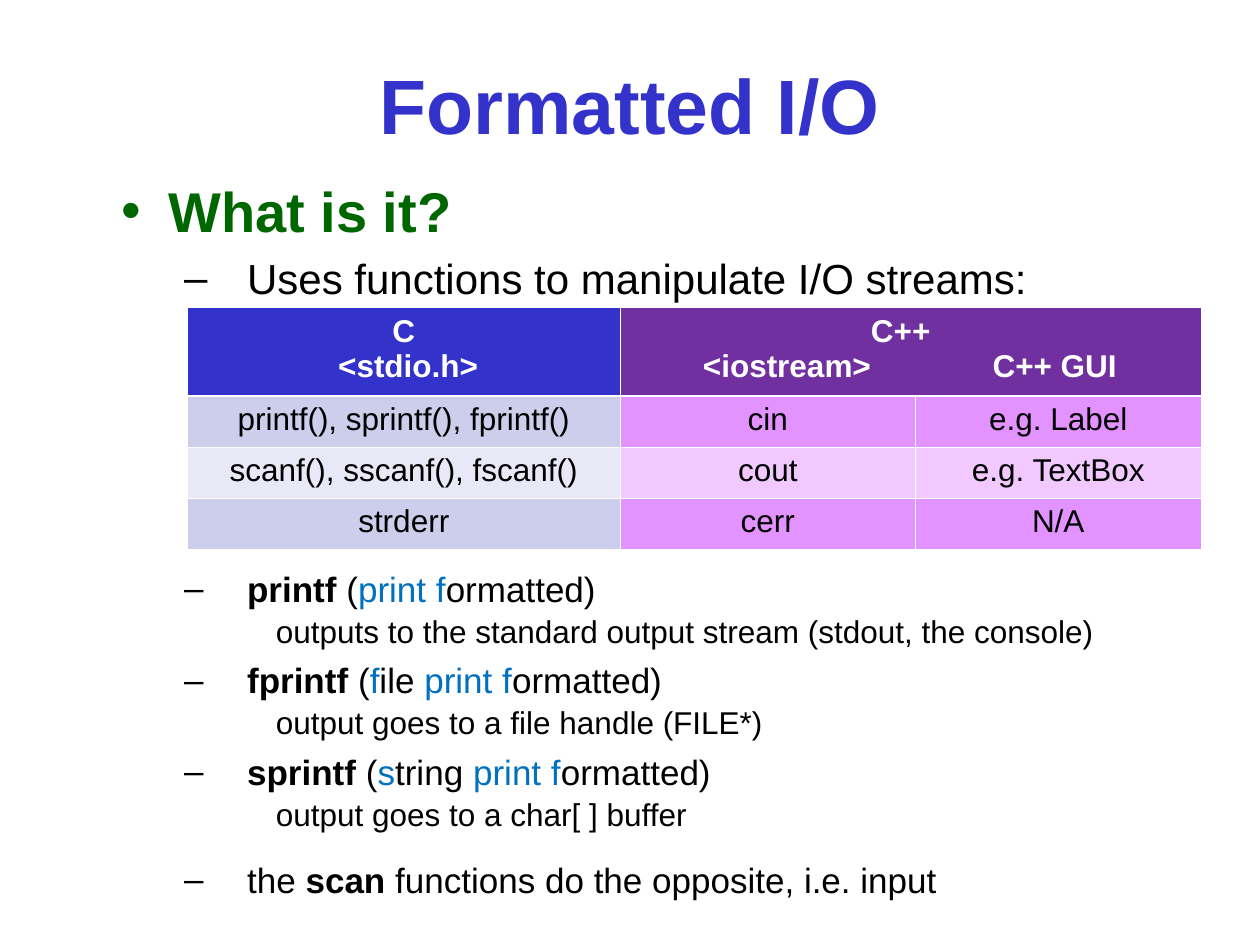
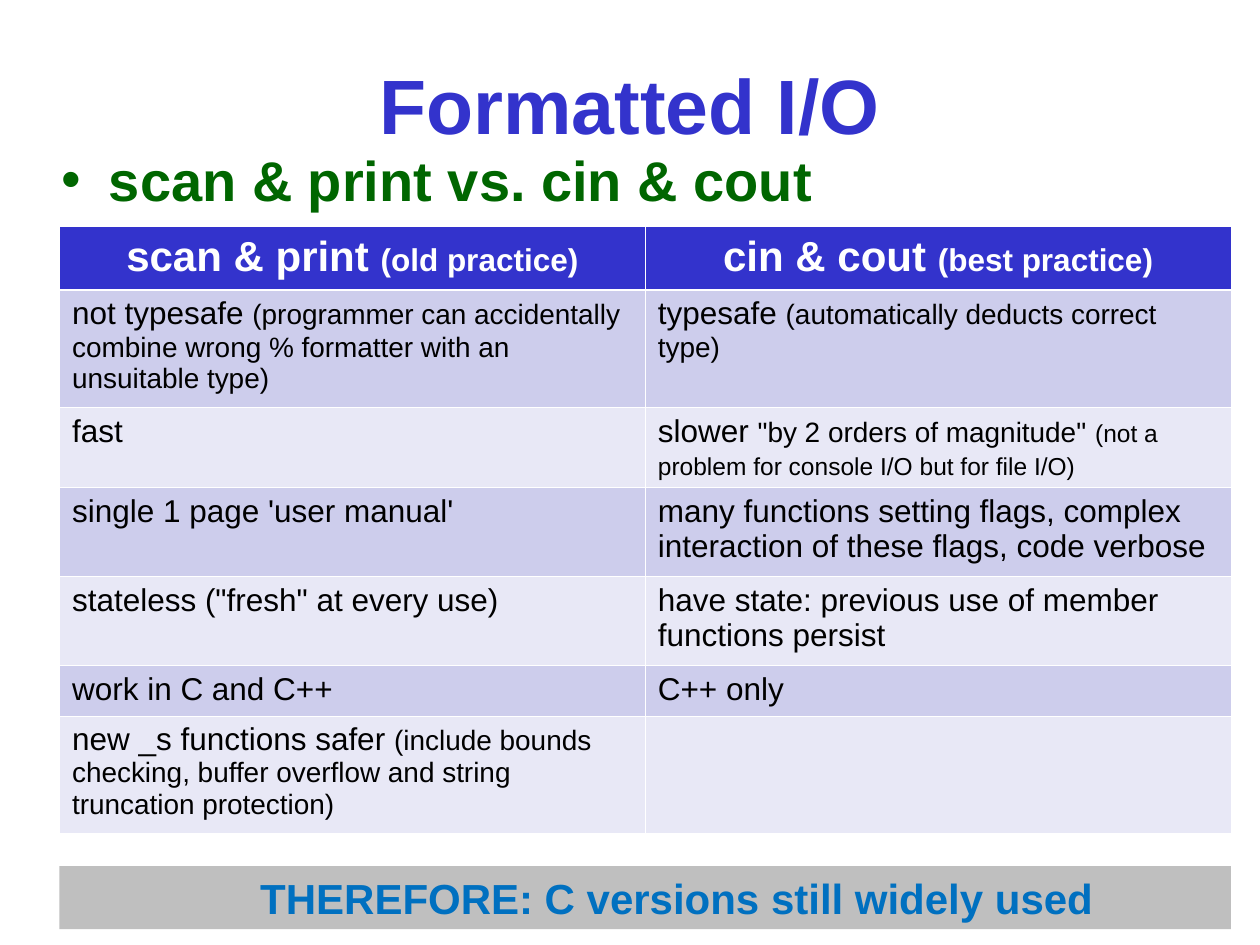
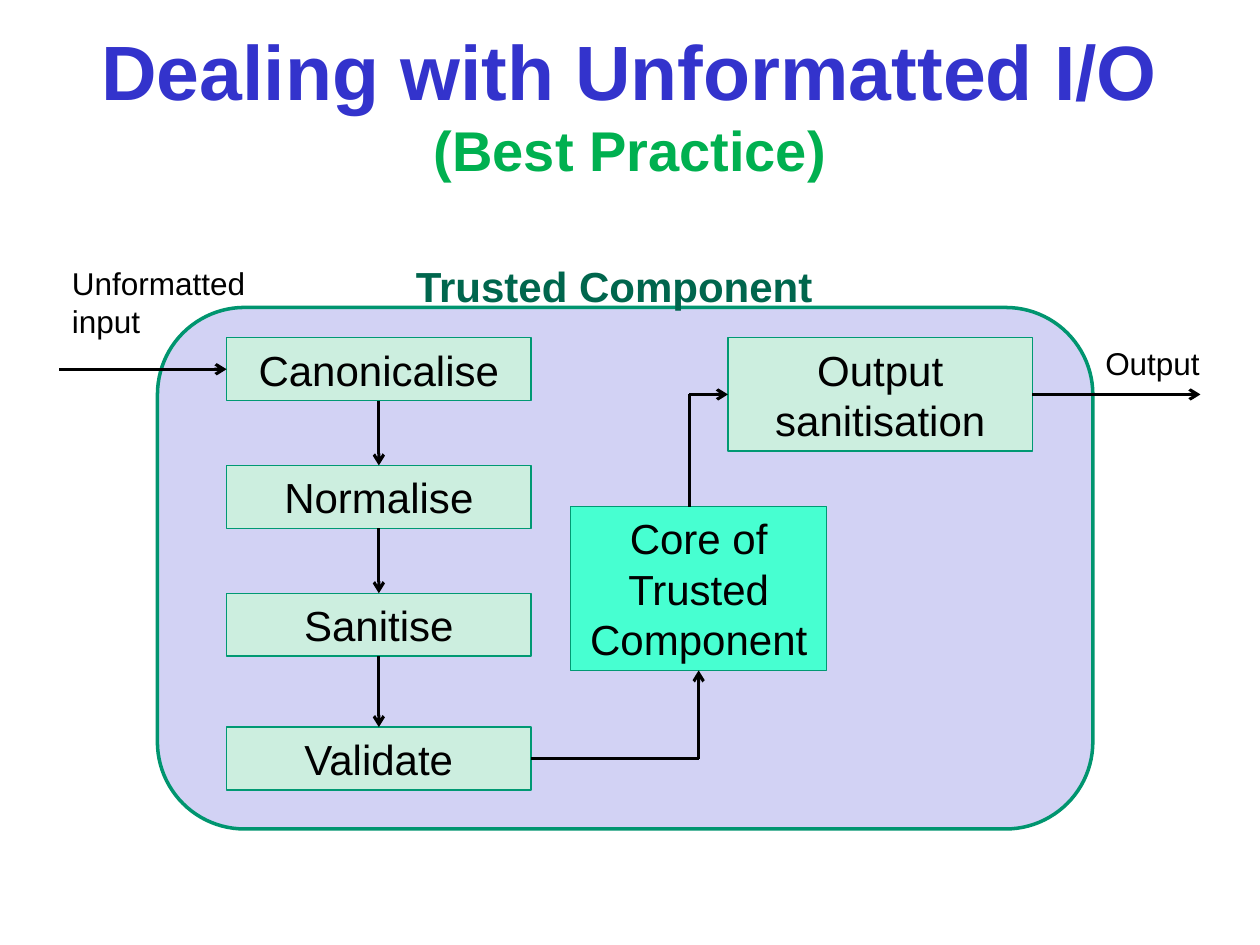
import pptx
import pptx.util
import pptx.dml.color
import pptx.enum.shapes
import pptx.enum.text
import pptx.oxml.ns
import lxml.etree

Pt = pptx.util.Pt
RGB = pptx.dml.color.RGBColor
Shape = pptx.enum.shapes.MSO_SHAPE
Line = pptx.enum.shapes.MSO_CONNECTOR
Align = pptx.enum.text.PP_ALIGN
Anchor = pptx.enum.text.MSO_ANCHOR
Fit = pptx.enum.text.MSO_AUTO_SIZE
qn = pptx.oxml.ns.qn

FONT = "Arial"
BLACK = RGB(0x00, 0x00, 0x00)
WHITE = RGB(0xFF, 0xFF, 0xFF)
BLUE = RGB(0x33, 0x33, 0xCC)
GREEN = RGB(0x00, 0x66, 0x00)
LEAF = RGB(0x00, 0xB0, 0x50)
SKY = RGB(0x00, 0x70, 0xC0)
PURPLE = RGB(0x70, 0x30, 0xA0)
LILAC = RGB(0xCD, 0xCD, 0xEC)
PALE = RGB(0xE8, 0xE8, 0xF6)
PINK = RGB(0xE3, 0x93, 0xFF)
ROSE = RGB(0xF1, 0xC9, 0xFF)
GREY = RGB(0xBF, 0xBF, 0xBF)
HAZE = RGB(0xD2, 0xD2, 0xF4)
TEAL = RGB(0x00, 0x95, 0x6F)
EDGE = RGB(0x00, 0x99, 0x73)
MINT = RGB(0xCC, 0xEE, 0xDF)
AQUA = RGB(0x47, 0xFF, 0xD1)
PINE = RGB(0x00, 0x66, 0x4D)


def write(para, runs, lead, align=Align.LEFT, before=0):
    para.alignment = align
    para.line_spacing = Pt(lead)
    para.space_before = Pt(before)
    for text, size, color, bold in runs:
        run = para.add_run()
        run.text = text
        run.font.name = FONT
        run.font.size = Pt(size)
        run.font.bold = bold
        run.font.color.rgb = color


def add_grid(slide, left, top, widths, heights, fills):
    frame = slide.shapes.add_table(
        len(heights), len(widths), Pt(left), Pt(top), Pt(sum(widths)), Pt(sum(heights)))
    grid = frame.table
    for col, width in zip(grid.columns, widths):
        col.width = Pt(width)
    for r, height in enumerate(heights):
        grid.rows[r].height = Pt(height)
        for c in range(len(widths)):
            cell = grid.cell(r, c)
            props = cell._tc.get_or_add_tcPr()
            for side in "LRTB":
                thick = (r, side) in ((0, "B"), (1, "T"))
                edge = lxml.etree.SubElement(
                    props, qn("a:ln" + side), w=str(Pt(1.47 if thick else 0.45)))
                paint = lxml.etree.SubElement(edge, qn("a:solidFill"))
                lxml.etree.SubElement(paint, qn("a:srgbClr"), val=str(WHITE))
            head, odd, even = fills[c]
            cell.fill.solid()
            cell.fill.fore_color.rgb = head if r == 0 else odd if r % 2 else even
    return grid


prs = pptx.Presentation()
prs.slide_width = Pt(720)
prs.slide_height = Pt(540)

slides = []
for name, layout in (("Formatted I/O", 1), ("Formatted I/O", 1),
                     ("Dealing with Unformatted I/O", 5)):
    slide = prs.slides.add_slide(prs.slide_layouts[layout])
    title = slide.shapes.title
    title.left, title.top, title.width, title.height = Pt(0), Pt(0), Pt(720), Pt(118)
    title.text_frame.auto_size = Fit.NONE
    title.text_frame.vertical_anchor = Anchor.MIDDLE
    write(title.text_frame.paragraphs[0], [(name, 44, BLUE, True)], 52.8, Align.CENTER)
    slides.append(slide)
basics, versus, flow = slides

bodies = []
for slide, head, left, top, width in (
        (basics, "What is it?", 62, 95.8, 641.5),
        (versus, "scan & print vs. cin & cout", 28, 78.5, 664)):
    body = slide.placeholders[1]
    body.left, body.top, body.width, body.height = Pt(left), Pt(top), Pt(width), Pt(427.7)
    frame = body.text_frame
    frame.auto_size = Fit.NONE
    frame.margin_top = Pt(7.2)
    para = frame.paragraphs[0]
    props = para._p.get_or_add_pPr()
    props.set("marL", str(Pt(27)))
    props.set("indent", str(Pt(-27)))
    write(para, [(head, 32, GREEN, True)], 36)
    bodies.append(frame)

items = [
    (7, 27, [("Uses functions to manipulate I/O streams:", 24, BLACK, False)], None),
    (153, 22, [("printf ", 20, BLACK, True), ("(", 20, BLACK, False),
               ("print f", 20, SKY, False), ("ormatted)", 20, BLACK, False)],
     "outputs to the standard output stream (stdout, the console)"),
    (7.5, 22, [("fprintf ", 20, BLACK, True), ("(", 20, BLACK, False),
               ("f", 20, SKY, False), ("ile ", 20, BLACK, False),
               ("print f", 20, SKY, False), ("ormatted)", 20, BLACK, False)],
     "output goes to a file handle (FILE*)"),
    (7.5, 22, [("sprintf ", 20, BLACK, True), ("(", 20, BLACK, False),
               ("s", 20, SKY, False), ("tring ", 20, BLACK, False),
               ("print f", 20, SKY, False), ("ormatted)", 20, BLACK, False)],
     "output goes to a char[ ] buffer"),
    (16.5, 22, [("the ", 20, BLACK, False), ("scan", 20, BLACK, True),
                (" functions do the opposite, i.e. input", 20, BLACK, False)], None),
]
for before, lead, runs, detail in items:
    para = bodies[0].add_paragraph()
    para.level = 1
    props = para._p.get_or_add_pPr()
    props.set("marL", str(Pt(72)))
    props.set("indent", str(Pt(-36)))
    write(para, runs, lead, before=before)
    if detail:
        para = bodies[0].add_paragraph()
        para.level = 1
        props = para._p.get_or_add_pPr()
        props.set("marL", str(Pt(88.5)))
        props.set("indent", "0")
        lxml.etree.SubElement(props, qn("a:buNone"))
        write(para, [(detail, 18, BLACK, False)], 20, before=3)

grid = add_grid(basics, 107, 175.7, (247.5, 168.5, 163.5), (50.5, 29.2, 29.2, 29.2),
                ((BLUE, LILAC, PALE), (PURPLE, PINK, ROSE), (PURPLE, PINK, ROSE)))
grid.cell(0, 1).merge(grid.cell(0, 2))
for c, lines, align, stops in (
        (0, ("C", " <stdio.h>"), Align.CENTER, ((), ())),
        (1, ("\tC++", "\t<iostream>\tC++ GUI"), Align.LEFT, ((153,), (88, 241)))):
    frame = grid.cell(0, c).text_frame
    frame.add_paragraph()
    for para, line, marks in zip(frame.paragraphs, lines, stops):
        if marks:
            tabs = lxml.etree.SubElement(para._p.get_or_add_pPr(), qn("a:tabLst"))
            for mark in marks:
                lxml.etree.SubElement(tabs, qn("a:tab"), pos=str(Pt(mark)), algn="ctr")
        write(para, [(line, 18, WHITE, True)], 20, align)

calls = (("printf(), sprintf(), fprintf()", "cin", "e.g. Label"),
         ("scanf(), sscanf(), fscanf()", "cout", "e.g. TextBox"),
         ("strderr", "cerr", "N/A"))
for r, row in enumerate(calls, 1):
    for c, text in enumerate(row):
        write(grid.cell(r, c).text_frame.paragraphs[0],
              [(text, 18, BLACK, False)], 20, Align.CENTER)

grid = add_grid(versus, 34, 129.6, (334.75, 334.75),
                (36.2, 67.2, 45.7, 50.8, 50.8, 28.8, 67.2), ((BLUE, LILAC, PALE),) * 2)
heads = (("scan & print ", "(old practice)"), ("cin & cout ", "(best practice)"))
for c, (main, note) in enumerate(heads):
    write(grid.cell(0, c).text_frame.paragraphs[0],
          [(main, 24, WHITE, True), (note, 18, WHITE, True)], 27, Align.CENTER)

points = (
    ([("not typesafe ", 18), ("(programmer can accidentally combine wrong % formatter "
                              "with an unsuitable type)", 16)],
     [("typesafe ", 18), ("(automatically deducts correct type)", 16)]),
    ([("fast", 18)],
     [("slower ", 18), ("\"by 2 orders of magnitude\"", 16), (" ", 18),
      ("(not a problem for console I/O but for file I/O)", 14)]),
    ([("single 1 page 'user manual'", 18)],
     [("many functions setting flags, complex interaction of these flags, "
       "code verbose", 18)]),
    ([("stateless (\"fresh\" at every use)", 18)],
     [("have state: previous use of member functions persist", 18)]),
    ([("work in C and C++", 18)], [("C++ only", 18)]),
    ([("new _s functions safer ", 18), ("(include bounds checking, buffer overflow "
                                        "and string truncation protection)", 16)], []),
)
for r, row in enumerate(points, 1):
    for c, parts in enumerate(row):
        cell = grid.cell(r, c)
        mixed = len(parts) > 1
        if mixed:
            cell.margin_top = Pt(5.6)
        write(cell.text_frame.paragraphs[0],
              [(text, size, BLACK, False) for text, size in parts], 18 if mixed else 20)

bar = versus.shapes.add_shape(Shape.RECTANGLE, Pt(34), Pt(495), Pt(669.5), Pt(36))
bar.shadow.inherit = False
bar.fill.solid()
bar.fill.fore_color.rgb = GREY
bar.line.fill.background()
bar.text_frame.word_wrap = True
bar.text_frame.margin_left = Pt(43.2)
write(bar.text_frame.paragraphs[0],
      [("THEREFORE: C versions still widely used", 24, SKY, True)], 28.8, Align.CENTER)

write(flow.shapes.title.text_frame.add_paragraph(),
      [("(Best Practice)", 32, LEAF, True)], 38.4, Align.CENTER)

zone = flow.shapes.add_shape(Shape.ROUNDED_RECTANGLE, Pt(90), Pt(175.7), Pt(534.5), Pt(298))
zone.adjustments[0] = 0.167
zone.shadow.inherit = False
zone.fill.solid()
zone.fill.fore_color.rgb = HAZE
zone.line.color.rgb = TEAL
zone.line.width = Pt(2)

for text, left, top, width, height, size, color, bold in (
        ("Trusted Component", 230.5, 145.5, 258.5, 36, 24, PINE, True),
        ("Unformatted input", 34, 147.5, 118, 50.4, 18, BLACK, False),
        ("Output", 624.5, 193, 84, 28.8, 18, BLACK, False)):
    label = flow.shapes.add_textbox(Pt(left), Pt(top), Pt(width), Pt(height))
    label.text_frame.word_wrap = True
    write(label.text_frame.paragraphs[0], [(text, size, color, bold)], size * 1.2)

boxes = {}
for text, left, top, width, height, fill in (
        ("Canonicalise", 129.5, 193, 174, 36, MINT),
        ("Normalise", 129.5, 266, 174, 36, MINT),
        ("Sanitise", 129.5, 339, 174, 36, MINT),
        ("Validate", 129.5, 415.5, 174, 36, MINT),
        ("Output sanitisation", 416, 193, 174, 64.8, MINT),
        ("Core of Trusted Component", 326, 289.5, 146.5, 93.6, AQUA)):
    box = flow.shapes.add_shape(Shape.RECTANGLE, Pt(left), Pt(top), Pt(width), Pt(height))
    box.shadow.inherit = False
    box.fill.solid()
    box.fill.fore_color.rgb = fill
    box.line.color.rgb = EDGE
    box.line.width = Pt(0.75)
    box.text_frame.word_wrap = True
    write(box.text_frame.paragraphs[0], [(text, 24, BLACK, False)], 28.8, Align.CENTER)
    boxes[text] = box

canon, norm, clean, valid, out, core = boxes.values()
for start, end, arrow in (
        ((34, 211), (canon, 1), True),
        ((canon, 2), (norm, 0), True),
        ((norm, 2), (clean, 0), True),
        ((clean, 2), (valid, 0), True),
        ((valid, 3), (399.25, 433.5), False),
        ((399.25, 433.5), (core, 2), True),
        ((394, 289.5), (394, 225.4), False),
        ((394, 225.4), (out, 1), True),
        ((out, 3), (686, 225.4), True)):
    ends = [(0, 0) if point[0] in boxes.values() else point for point in (start, end)]
    (x1, y1), (x2, y2) = ends
    link = flow.shapes.add_connector(Line.STRAIGHT, Pt(x1), Pt(y1), Pt(x2), Pt(y2))
    if start[0] in boxes.values():
        link.begin_connect(*start)
    if end[0] in boxes.values():
        link.end_connect(*end)
    link.line.color.rgb = BLACK
    link.line.width = Pt(1.75)
    if arrow:
        lxml.etree.SubElement(link.line._get_or_add_ln(), qn("a:tailEnd"), type="arrow")
    lxml.etree.SubElement(link._element.spPr, qn("a:effectLst"))

prs.save("out.pptx")
